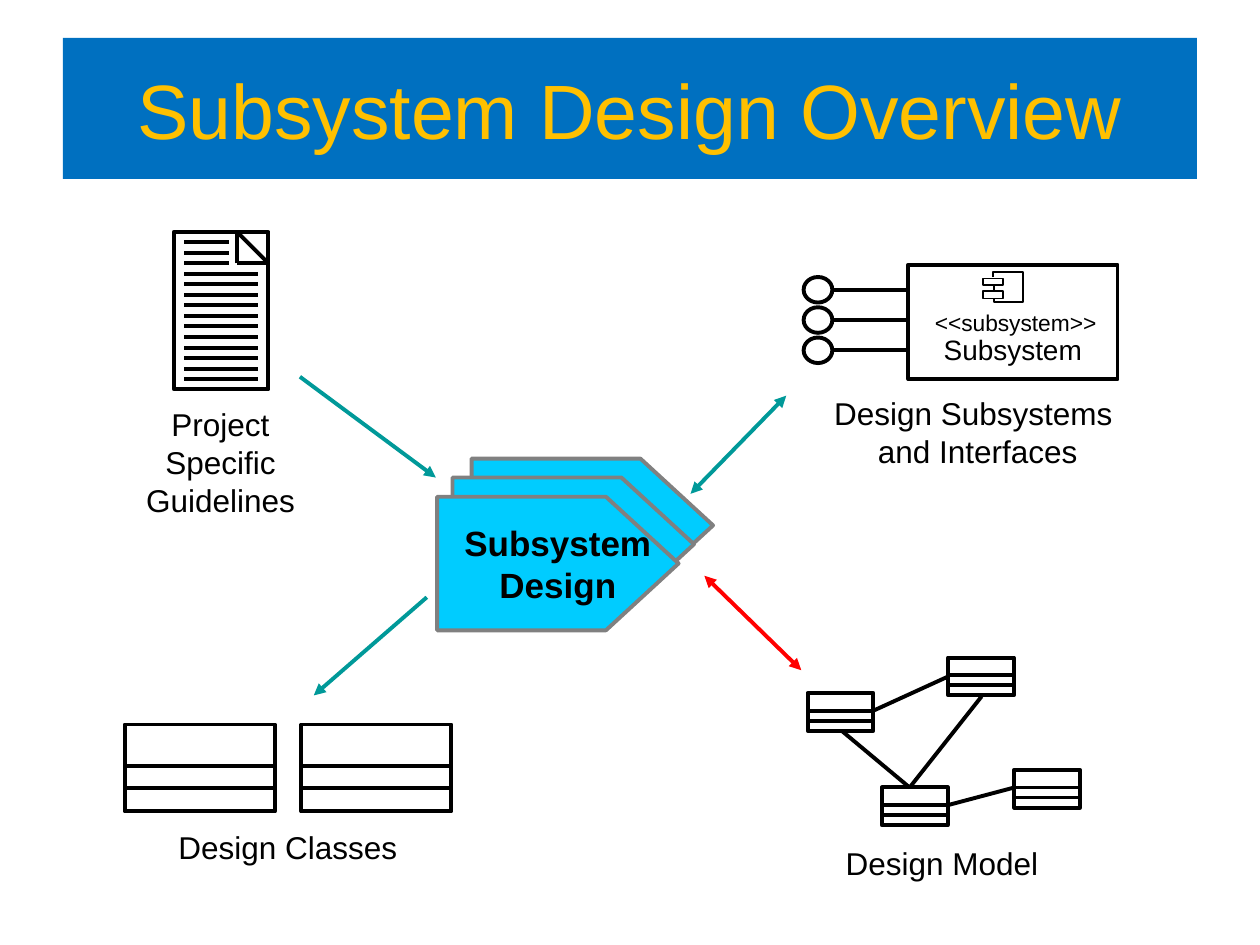
from pptx import Presentation
from pptx.dml.color import RGBColor
from pptx.enum.shapes import MSO_CONNECTOR, MSO_SHAPE
from pptx.enum.text import MSO_ANCHOR, PP_ALIGN
from pptx.oxml.ns import qn
from pptx.util import Pt
from lxml import etree

RECTANGLE = MSO_SHAPE.RECTANGLE
OVAL = MSO_SHAPE.OVAL
STRAIGHT = MSO_CONNECTOR.STRAIGHT
LEFT = PP_ALIGN.LEFT
CENTER = PP_ALIGN.CENTER
TOP = MSO_ANCHOR.TOP
MIDDLE = MSO_ANCHOR.MIDDLE

FONT = "Arial"
STROKE = 2.25
COLORS = {
    "banner": "0070C0",
    "title": "FFC000",
    "process": "00CCFF",
    "process_line": "808080",
    "ink": "000000",
    "flow": "009999",
    "model_flow": "FF0000",
}


def color(name):
    return RGBColor.from_string(COLORS[name])


def style_shape(shape, fill, line, weight=STROKE):
    shape.shadow.inherit = False
    if fill:
        shape.fill.solid()
        shape.fill.fore_color.rgb = color(fill)
    else:
        shape.fill.background()
    if line:
        shape.line.color.rgb = color(line)
        shape.line.width = Pt(weight)
    else:
        shape.line.fill.background()


def add_shape(page, kind, left, top, width, height, fill=None, line="ink", weight=STROKE):
    shape = page.shapes.add_shape(kind, Pt(left), Pt(top), Pt(width), Pt(height))
    style_shape(shape, fill, line, weight)
    return shape


def add_outline(page, points, closed, fill, line, weight=STROKE):
    corners = [(Pt(x), Pt(y)) for x, y in points]
    builder = page.shapes.build_freeform(*corners[0])
    builder.add_line_segments(corners[1:], close=closed)
    shape = builder.convert_to_shape()
    style_shape(shape, fill, line, weight)
    return shape


def add_line(page, start, end, line="ink", weight=STROKE, arrows=()):
    connector = page.shapes.add_connector(
        STRAIGHT, Pt(start[0]), Pt(start[1]), Pt(end[0]), Pt(end[1])
    )
    connector.line.color.rgb = color(line)
    connector.line.width = Pt(weight)
    outline = connector.line._get_or_add_ln()
    for end_name in arrows:
        etree.SubElement(outline, qn(f"a:{end_name}"), type="triangle")
    etree.SubElement(connector._element.spPr, qn("a:effectLst"))


def write(shape, text, size, ink="ink", bold=False, align=CENTER, anchor=TOP,
          wrap=False, insets=(7.2, 3.6)):
    frame = shape.text_frame
    frame.word_wrap = wrap
    frame.vertical_anchor = anchor
    frame.margin_left = frame.margin_right = Pt(insets[0])
    frame.margin_top = frame.margin_bottom = Pt(insets[1])
    frame.text = text
    for para in frame.paragraphs:
        para.alignment = align
        for span in para.runs:
            span.font.name = FONT
            span.font.size = Pt(size)
            span.font.bold = bold
            span.font.color.rgb = color(ink)


def add_text(page, text, left, top, width, height, size=18, **options):
    box = page.shapes.add_textbox(Pt(left), Pt(top), Pt(width), Pt(height))
    write(box, text, size, **options)


def add_process(page, left, top):
    shoulder, width, height = 96.5, 138, 76.3
    points = [
        (left, top), (left + shoulder, top), (left + width, top + height / 2),
        (left + shoulder, top + height), (left, top + height),
    ]
    return add_outline(page, points, True, "process", "process_line")


def add_class(page, left, top, width, height, dividers):
    add_shape(page, RECTANGLE, left, top, width, height)
    for offset in dividers:
        add_line(page, (left, top + offset), (left + width, top + offset))


def add_document(page, left, top):
    width, height, fold = 54, 90, 18
    right = left + width
    add_shape(page, RECTANGLE, left, top, width, height)
    corners = [(right - fold, top), (right, top + fold), (right - fold, top + fold)]
    for index, corner in enumerate(corners):
        add_line(page, corners[index - 1], corner)
    for index in range(14):
        y = top + 5.9 + index * 6.02
        end = right - 22.6 if index < 3 else right - 6
        add_line(page, (left + 5.8, y), (end, y))


def add_component_icon(page):
    for top, height in ((166.3, 4.3), (159.1, 3.6)):
        add_shape(page, RECTANGLE, 561.6, top, 11.5, height, weight=1)
    points = [(567.4, 158.4), (567.4, 155.5), (584.6, 155.5),
              (584.6, 172.8), (568.1, 172.8), (568.1, 170.6)]
    add_outline(page, points, False, None, "ink", 1)
    add_line(page, (568.1, 163.4), (568.1, 165.6), weight=1)


def add_subsystem(page):
    for index in range(3):
        y = 165.6 + index * 17.28
        add_shape(page, OVAL, 459.2, y - 7.3, 16.4, 14.6)
        add_line(page, (475.6, y), (519.1, y))
    add_shape(page, RECTANGLE, 519.1, 151.2, 119.5, 65.5)
    add_component_icon(page)
    add_text(page, "<<subsystem>>", 534.2, 176.4, 92.2, 15.8, 13, align=LEFT, insets=(0, 0))
    add_text(page, "Subsystem", 539.3, 190.1, 79.2, 19.4, 16, align=LEFT, insets=(0, 0))


def add_model(page):
    for left, top in ((461.5, 396), (541.8, 375.8), (504, 450), (579.6, 439.9)):
        add_class(page, left, top, 37.6, 21.6, (10.1, 15.8))
    links = [
        ((519.8, 450), (481, 417.6)),
        ((499.1, 406.1), (541.8, 386.6)),
        ((541.6, 460.1), (579.6, 450)),
        ((519.8, 450), (560.9, 398)),
    ]
    for start, end in links:
        add_line(page, start, end)


def main():
    deck = Presentation()
    deck.slide_width, deck.slide_height = Pt(720), Pt(540)
    page = deck.slides.add_slide(deck.slide_layouts[6])

    banner = add_shape(page, RECTANGLE, 36, 21.6, 648, 80.6, "banner", None)
    write(banner, "Subsystem Design Overview", 44, "title", anchor=MIDDLE, wrap=True)

    for left, top in ((269.5, 262.1), (258.6, 272.9), (249.8, 283.9)):
        process = add_process(page, left, top)
    write(process, "Subsystem\nDesign", 20, bold=True, anchor=MIDDLE)

    add_document(page, 99.4, 132.5)
    add_subsystem(page)
    for left in (71.3, 172.1):
        add_class(page, left, 414, 85.9, 49.7, (23.6, 36.4))
    add_model(page)

    add_text(page, "Project Specific\nGuidelines", 56.9, 228.2, 138.2, 50.4)
    add_text(page, "Design Subsystems \nand Interfaces", 469.4, 221.8, 178.6, 50.4)
    add_text(page, "Design Classes", 80.6, 469.4, 167.8, 28.8, wrap=True)
    add_text(page, "Design Model", 475.9, 478.8, 124.6, 28.8)

    both_ends = ("headEnd", "tailEnd")
    add_line(page, (171.4, 215.3), (249.1, 272.9), "flow", arrows=("tailEnd",))
    add_line(page, (243.9, 341.3), (179.3, 397.4), "flow", arrows=("tailEnd",))
    add_line(page, (394.6, 282.2), (449.3, 226.1), "flow", arrows=both_ends)
    add_line(page, (457.9, 383), (402.5, 329), "model_flow", arrows=both_ends)

    deck.save("out.pptx")


if __name__ == "__main__":
    main()
